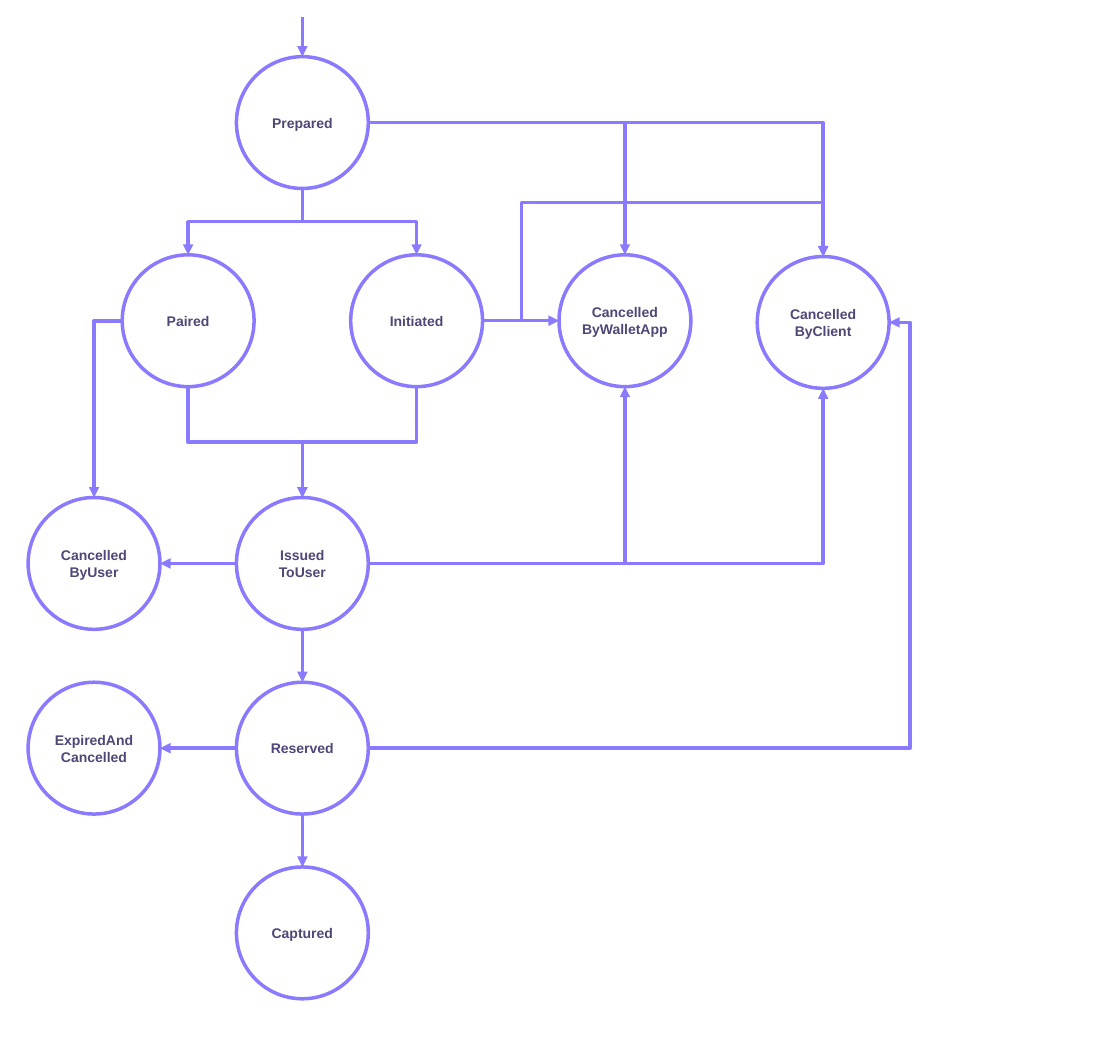
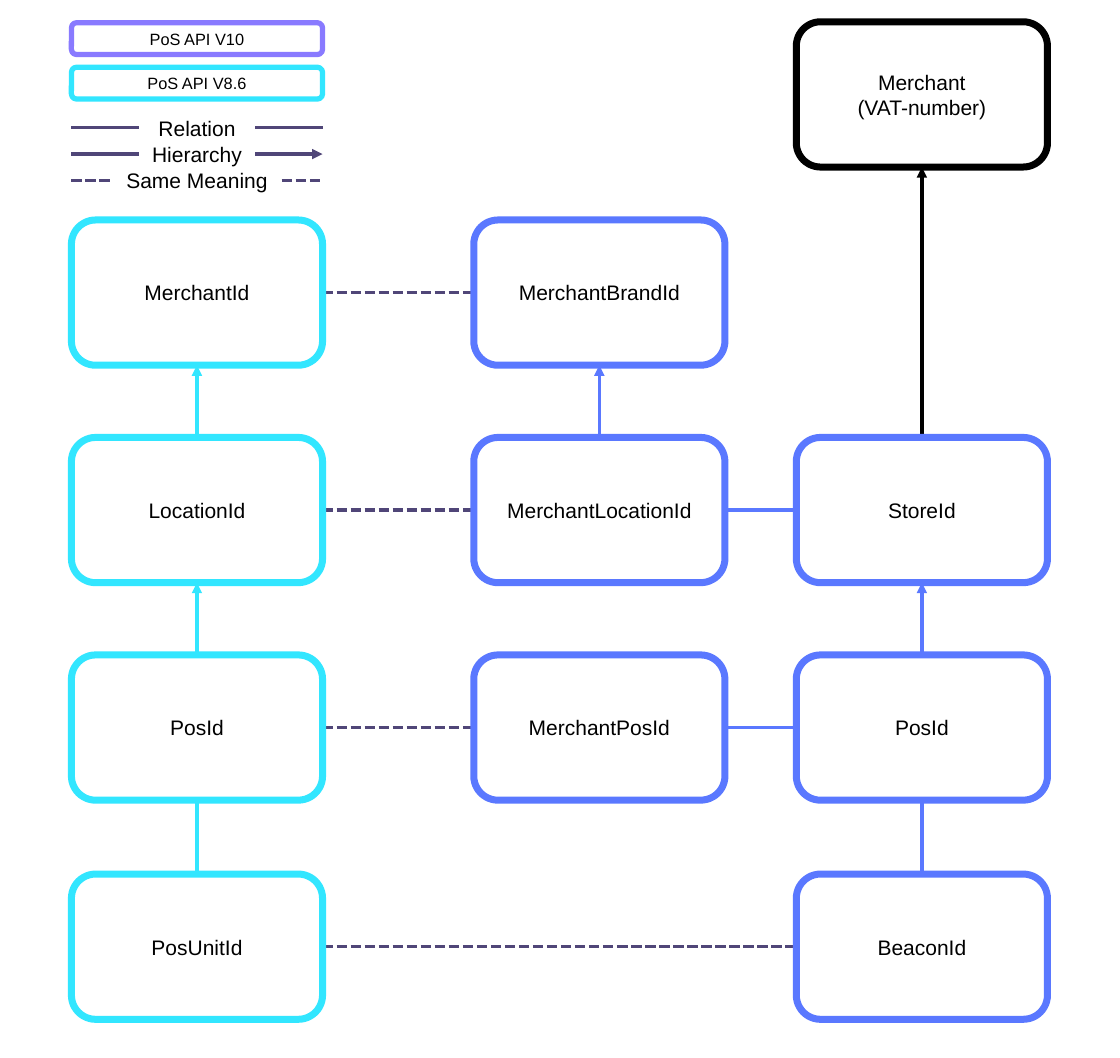
from dataclasses import dataclass

from lxml import etree
from pptx import Presentation
from pptx.dml.color import RGBColor
from pptx.enum.dml import MSO_LINE
from pptx.enum.shapes import MSO_CONNECTOR, MSO_SHAPE
from pptx.enum.text import MSO_ANCHOR, PP_ALIGN
from pptx.oxml.ns import qn
from pptx.util import Inches, Pt

STRAIGHT, ELBOW = MSO_CONNECTOR.STRAIGHT, MSO_CONNECTOR.ELBOW
CIRCLE, ROUNDED, RECTANGLE = MSO_SHAPE.OVAL, MSO_SHAPE.ROUNDED_RECTANGLE, MSO_SHAPE.RECTANGLE
MIDDLE, CENTER, DASH = MSO_ANCHOR.MIDDLE, PP_ALIGN.CENTER, MSO_LINE.SQUARE_DOT
TOP, LEFT, BOTTOM, RIGHT = range(4)
BLANK_LAYOUT = 6


@dataclass(frozen=True)
class Theme:
    font: str = "Arial"
    white: str = "FFFFFF"
    black: str = "000000"
    plum: str = "504678"
    violet: str = "897AFF"
    blue: str = "5A78FF"
    cyan: str = "32E6FF"
    state_size: float = 12
    badge_size: float = 14
    label_size: float = 18
    line: float = 3
    badge_border: float = 4.5
    box_border: float = 6


THEME = Theme()


def add_node(page, kind, box, text, size, outline=None, border=0, ink=THEME.black, bold=False):
    node = page.shapes.add_shape(kind, *(Inches(length) for length in box))
    node.shadow.inherit = False
    node.fill.solid()
    node.fill.fore_color.rgb = RGBColor.from_string(THEME.white)
    if outline:
        node.line.color.rgb = RGBColor.from_string(outline)
        node.line.width = Pt(border)
    else:
        node.line.fill.background()
    frame = node.text_frame
    frame.margin_left = frame.margin_top = frame.margin_right = frame.margin_bottom = 0
    frame.word_wrap = True
    frame.vertical_anchor = MIDDLE
    frame.text = text
    for para in frame.paragraphs:
        para.alignment = CENTER
        para.font.name = THEME.font
        para.font.size = Pt(size)
        para.font.bold = bold
        para.font.color.rgb = RGBColor.from_string(ink)
    return node


def add_line(page, colour, start=(0, 0), end=(0, 0), kind=STRAIGHT, arrow=False, dashed=False):
    connector = page.shapes.add_connector(kind, *(Inches(length) for length in (*start, *end)))
    connector.line.color.rgb = RGBColor.from_string(colour)
    connector.line.width = Pt(THEME.line)
    if dashed:
        connector.line.dash_style = DASH
    properties = connector._element.spPr
    if arrow:
        etree.SubElement(properties.find(qn("a:ln")), qn("a:tailEnd"), type="triangle")
    etree.SubElement(properties, qn("a:effectLst"))
    return connector


def use_circle_sites(connector):
    for tag in ("a:stCxn", "a:endCxn"):
        for joint in connector._element.iter(qn(tag)):
            joint.set("idx", str(2 * int(joint.get("idx"))))


def turn_upright(connector):
    leftward = connector.end_x < connector.begin_x
    width, height = connector.width, connector.height
    connector.left += (width - height) // 2
    connector.top += (height - width) // 2
    connector.width, connector.height = height, width
    frame = connector._element.spPr.find(qn("a:xfrm"))
    for flip in ("flipH", "flipV"):
        frame.attrib.pop(flip, None)
    frame.set("rot", "5400000" if leftward else "16200000")
    if not leftward:
        frame.set("flipH", "1")


def bend(connector, bends, adjustments):
    geometry = connector._element.spPr.find(qn("a:prstGeom"))
    geometry.set("prst", f"bentConnector{bends + 1}")
    guides = geometry.find(qn("a:avLst"))
    for number, share in enumerate(adjustments, 1):
        etree.SubElement(guides, qn("a:gd"), name=f"adj{number}",
                         fmla=f"val {round(share * 100000)}")


def link_states(page, source, source_side, target, target_side, bends=0, adjustments=()):
    connector = add_line(page, THEME.violet, kind=ELBOW if bends else STRAIGHT, arrow=True)
    connector.begin_connect(source, source_side)
    connector.end_connect(target, target_side)
    use_circle_sites(connector)
    if bends:
        bend(connector, bends, adjustments)
    if bends == 2 and source_side == BOTTOM:
        turn_upright(connector)


def build_state_diagram(page, left, top):
    diameter = 1.57
    columns = {"user": 0.79, "paired": 1.91, "main": 3.27,
               "initiated": 4.63, "wallet": 7.11, "client": 9.47}
    rows = {"prepare": 1.26, "start": 3.62, "client": 3.64,
            "issue": 6.51, "reserve": 8.71, "capture": 10.91}
    places = {
        "prepared": ("Prepared", "main", "prepare"),
        "issued": ("Issued\vToUser", "main", "issue"),
        "reserved": ("Reserved", "main", "reserve"),
        "captured": ("Captured", "main", "capture"),
        "paired": ("Paired", "paired", "start"),
        "initiated": ("Initiated", "initiated", "start"),
        "by_wallet": ("Cancelled\vByWalletApp", "wallet", "start"),
        "by_client": ("Cancelled\vByClient", "client", "client"),
        "by_user": ("Cancelled\vByUser", "user", "issue"),
        "expired": ("ExpiredAnd\vCancelled", "user", "reserve"),
    }
    states = {}
    for key, (text, column, row) in places.items():
        box = (left + columns[column] - diameter / 2, top + rows[row] - diameter / 2,
               diameter, diameter)
        states[key] = add_node(page, CIRCLE, box, text, THEME.state_size,
                               THEME.violet, THEME.line, THEME.plum, True)

    entry_x = left + columns["main"]
    entry = add_line(page, THEME.violet, (entry_x, top), (entry_x, top + 0.47), arrow=True)
    entry.end_connect(states["prepared"], TOP)

    transitions = [
        ("issued", BOTTOM, "reserved", TOP),
        ("reserved", BOTTOM, "captured", TOP),
        ("issued", LEFT, "by_user", RIGHT),
        ("reserved", LEFT, "expired", RIGHT),
        ("initiated", RIGHT, "by_wallet", LEFT),
        ("prepared", RIGHT, "by_wallet", TOP, 1),
        ("prepared", RIGHT, "by_client", TOP, 1),
        ("issued", RIGHT, "by_wallet", BOTTOM, 1),
        ("issued", RIGHT, "by_client", BOTTOM, 1),
        ("paired", LEFT, "by_user", TOP, 1),
        ("prepared", BOTTOM, "paired", TOP, 2, (0.5,)),
        ("prepared", BOTTOM, "initiated", TOP, 2, (0.5,)),
        ("paired", BOTTOM, "issued", TOP, 2, (0.5,)),
        ("initiated", BOTTOM, "issued", TOP, 2, (0.5,)),
        ("reserved", RIGHT, "by_client", RIGHT, 2, (1.04,)),
        ("initiated", RIGHT, "by_client", TOP, 3, (0.115, 1.84)),
    ]
    for source, source_side, target, target_side, *route in transitions:
        link_states(page, states[source], source_side, states[target], target_side, *route)


def build_legend(page, left, top, width):
    badges = [("PoS API V10", THEME.violet), ("PoS API V8.6", THEME.cyan)]
    for row, (text, colour) in enumerate(badges):
        add_node(page, ROUNDED, (left, top + row * 0.53, width, 0.38), text,
                 THEME.badge_size, colour, THEME.badge_border)
    keys = [("Relation", 1.38, {}), ("Hierarchy", 1.38, {"arrow": True}),
            ("Same Meaning", 2, {"dashed": True})]
    for row, (text, label_width, style) in enumerate(keys):
        middle = top + 1.25 + row * 0.315
        add_line(page, THEME.plum, (left, middle), (left + width, middle), **style)
        add_node(page, RECTANGLE,
                 (left + (width - label_width) / 2, middle - 0.15, label_width, 0.3),
                 text, THEME.label_size)


def build_entity_map(page, left, top, width):
    height = 1.73
    columns = (0, 4.79, 8.63)
    rows = (0, 2.36, 4.95, 7.54, 10.15)
    names = {
        (0, 1): "MerchantId", (0, 2): "LocationId", (0, 3): "PosId", (0, 4): "PosUnitId",
        (1, 1): "MerchantBrandId", (1, 2): "MerchantLocationId", (1, 3): "MerchantPosId",
        (2, 0): "Merchant\n(VAT-number)", (2, 2): "StoreId", (2, 3): "PosId",
        (2, 4): "BeaconId",
    }
    entities = {}
    for (column, row), text in names.items():
        colour = THEME.black if row == 0 else THEME.blue if column else THEME.cyan
        box = (left + columns[column], top + rows[row], width, height)
        entities[column, row] = add_node(page, ROUNDED, box, text, THEME.label_size,
                                         colour, THEME.box_border)

    upward, across = (TOP, BOTTOM), (RIGHT, LEFT)
    hierarchy, same = {"arrow": True}, {"dashed": True}
    links = [
        ((0, 2), (0, 1), upward, THEME.cyan, hierarchy),
        ((0, 3), (0, 2), upward, THEME.cyan, hierarchy),
        ((0, 4), (0, 3), upward, THEME.cyan, {}),
        ((1, 2), (1, 1), upward, THEME.blue, hierarchy),
        ((2, 2), (2, 0), upward, THEME.black, hierarchy),
        ((2, 3), (2, 2), upward, THEME.blue, hierarchy),
        ((2, 4), (2, 3), upward, THEME.blue, {}),
        ((1, 2), (2, 2), across, THEME.blue, {}),
        ((1, 3), (2, 3), across, THEME.blue, {}),
        ((0, 1), (1, 1), across, THEME.plum, same),
        ((0, 2), (1, 2), across, THEME.plum, same),
        ((0, 3), (1, 3), across, THEME.plum, same),
        ((0, 4), (2, 4), across, THEME.plum, same),
    ]
    for source, target, (source_side, target_side), colour, style in links:
        connector = add_line(page, colour, **style)
        connector.begin_connect(entities[source], source_side)
        connector.end_connect(entities[target], target_side)
        if colour in (THEME.black, THEME.plum):
            page.shapes._spTree.insert(2, connector._element)


def main():
    deck = Presentation()
    deck.slide_width, deck.slide_height = Inches(40 / 3), Inches(12.6)
    state_page = deck.slides.add_slide(deck.slide_layouts[BLANK_LAYOUT])
    entity_page = deck.slides.add_slide(deck.slide_layouts[BLANK_LAYOUT])
    build_state_diagram(state_page, 0.33, 0.2)
    build_legend(entity_page, 0.85, 0.27, 2.99)
    build_entity_map(entity_page, 0.85, 0.26, 2.99)
    deck.save("out.pptx")


if __name__ == "__main__":
    main()
